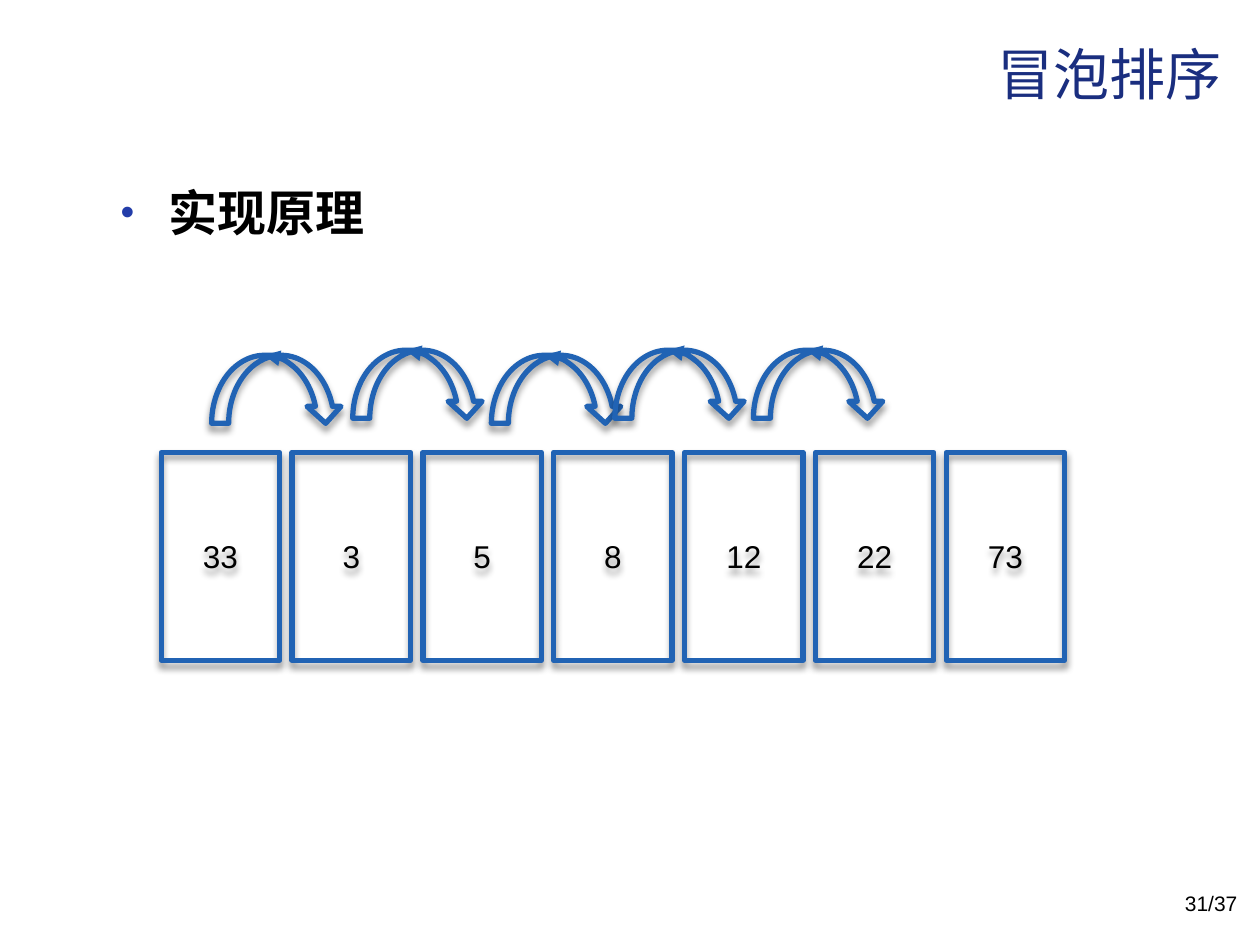
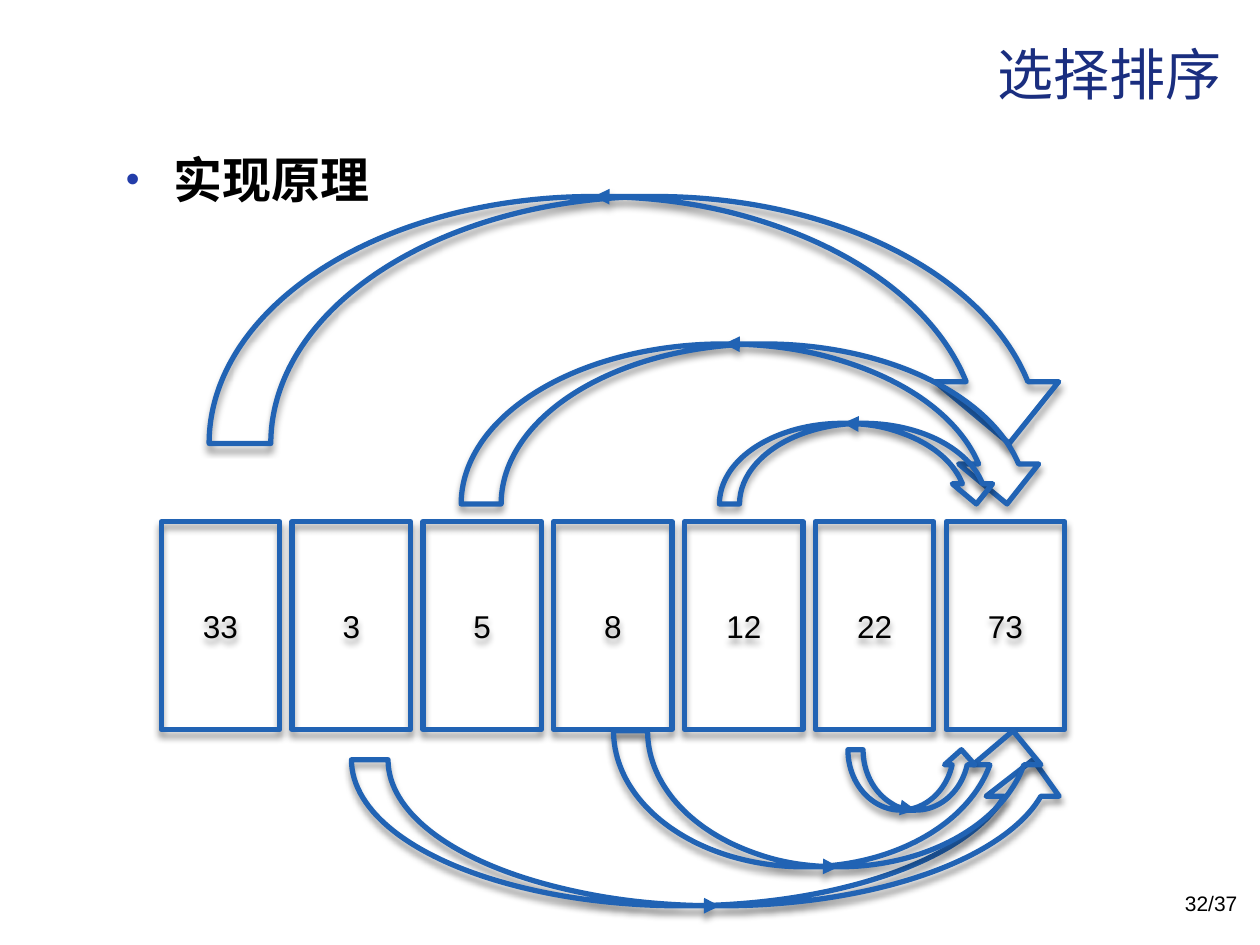
from lxml.etree import SubElement
from pptx import Presentation
from pptx.dml.color import RGBColor
from pptx.enum.shapes import MSO_SHAPE as Preset
from pptx.enum.text import MSO_ANCHOR as Anchor, MSO_AUTO_SIZE as AutoSize, PP_ALIGN as Align
from pptx.oxml.ns import qn
from pptx.util import Inches, Pt

# Shared look
FONT = "Arial"
BLACK, TITLE_BLUE, LINE_BLUE, BULLET_BLUE = "000000", "1A2E7F", "2163B4", "233DA9"
VALUES = [33, 3, 5, 8, 12, 22, 73]
BOX_LEFT, LAST_BOX_LEFT, BOX_WIDTH, BOX_HEIGHT = 1.28, 7.51, 0.94, 1.65
BOX_PITCH = (LAST_BOX_LEFT - BOX_LEFT) / (len(VALUES) - 1)
DOWN, UP = Preset.CURVED_DOWN_ARROW, Preset.CURVED_UP_ARROW

# Title, page, bullet position, top of boxes, arrows (preset, left, top, width, height)
SLIDES = [
    ("冒泡排序", "31/37", (0.86, 1.4), 3.59,
     [(DOWN, left, top, 1.04, 0.54) for left, top in
      [(1.68, 2.82), (2.8, 2.78), (3.9, 2.82), (4.88, 2.78), (5.98, 2.78)]]),
    ("选择排序", "32/37", (0.9, 1.14), 4.14,
     [(DOWN, 1.66, 1.56, 6.84, 1.96),
      (DOWN, 3.66, 2.73, 4.65, 1.27),
      (DOWN, 5.71, 3.36, 2.2, 0.64),
      (UP, 2.79, 6.03, 5.7, 1.16),
      (UP, 4.87, 5.8, 3.44, 1.08),
      (UP, 6.73, 5.95, 1.02, 0.48)]),
]


def write(shape, text, size, color, align, anchor=Anchor.TOP, bold=False):
    frame = shape.text_frame
    frame.text = text
    frame.word_wrap = True
    frame.auto_size = AutoSize.NONE
    frame.vertical_anchor = anchor
    paragraph = frame.paragraphs[0]
    paragraph.alignment = align
    font = paragraph.runs[0].font
    font.name, font.size, font.bold = FONT, Pt(size), bold
    font.color.rgb = RGBColor.from_string(color)
    return paragraph


def add_outlined(slide, preset, left, top, width, height):
    shape = slide.shapes.add_shape(
        preset, Inches(left), Inches(top), Inches(width), Inches(height))
    shape.fill.background()
    shape.line.color.rgb = RGBColor.from_string(LINE_BLUE)
    shape.line.width = Pt(3)
    SubElement(shape.line._get_or_add_ln(), qn("a:tailEnd"), type="triangle")
    # Soft shadow straight below
    shape.shadow.inherit = False
    effects = shape._element.spPr.find(qn("a:effectLst"))
    shadow = SubElement(effects, qn("a:outerShdw"), blurRad=str(Pt(4)), dist=str(Pt(3)),
                        dir="5400000", rotWithShape="0")
    shadow_color = SubElement(shadow, qn("a:srgbClr"), val=BLACK)
    SubElement(shadow_color, qn("a:alpha"), val="40000")
    return shape


presentation = Presentation()
presentation.slide_width, presentation.slide_height = Inches(10), Inches(7.5)

for title_text, page, (bullet_left, bullet_top), box_top, arrows in SLIDES:
    slide = presentation.slides.add_slide(presentation.slide_layouts[5])

    # Title
    title = slide.shapes.title
    title.left, title.top = Inches(0.8), Inches(0.09)
    title.width, title.height = Inches(9), Inches(0.98)
    write(title, title_text, 32, TITLE_BLUE, Align.RIGHT, Anchor.MIDDLE)

    # Bulleted heading
    heading = slide.shapes.add_textbox(
        Inches(bullet_left), Inches(bullet_top), Inches(8.36), Inches(5.48))
    paragraph = write(heading, "实现原理", 28, BLACK, Align.LEFT, bold=True)
    properties = paragraph._p.get_or_add_pPr()
    properties.set("marL", str(Inches(0.38)))
    properties.set("indent", str(Inches(-0.38)))
    SubElement(SubElement(properties, qn("a:spcBef")), qn("a:spcPct"), val="20000")
    SubElement(SubElement(properties, qn("a:buClr")), qn("a:srgbClr"), val=BULLET_BLUE)
    SubElement(properties, qn("a:buSzPct"), val="80000")
    SubElement(properties, qn("a:buFont"), typeface=FONT)
    SubElement(properties, qn("a:buChar"), char="•")

    # Page number
    footer = slide.shapes.add_textbox(Inches(7.59), Inches(7.02), Inches(2.33), Inches(0.4))
    write(footer, page, 12, BLACK, Align.RIGHT)

    # Row of values
    for index, value in enumerate(VALUES):
        box = add_outlined(slide, Preset.RECTANGLE, BOX_LEFT + index * BOX_PITCH,
                           box_top, BOX_WIDTH, BOX_HEIGHT)
        write(box, str(value), 18, BLACK, Align.CENTER, Anchor.MIDDLE)

    # Comparison arrows
    for arrow in arrows:
        add_outlined(slide, *arrow)

presentation.save("out.pptx")
